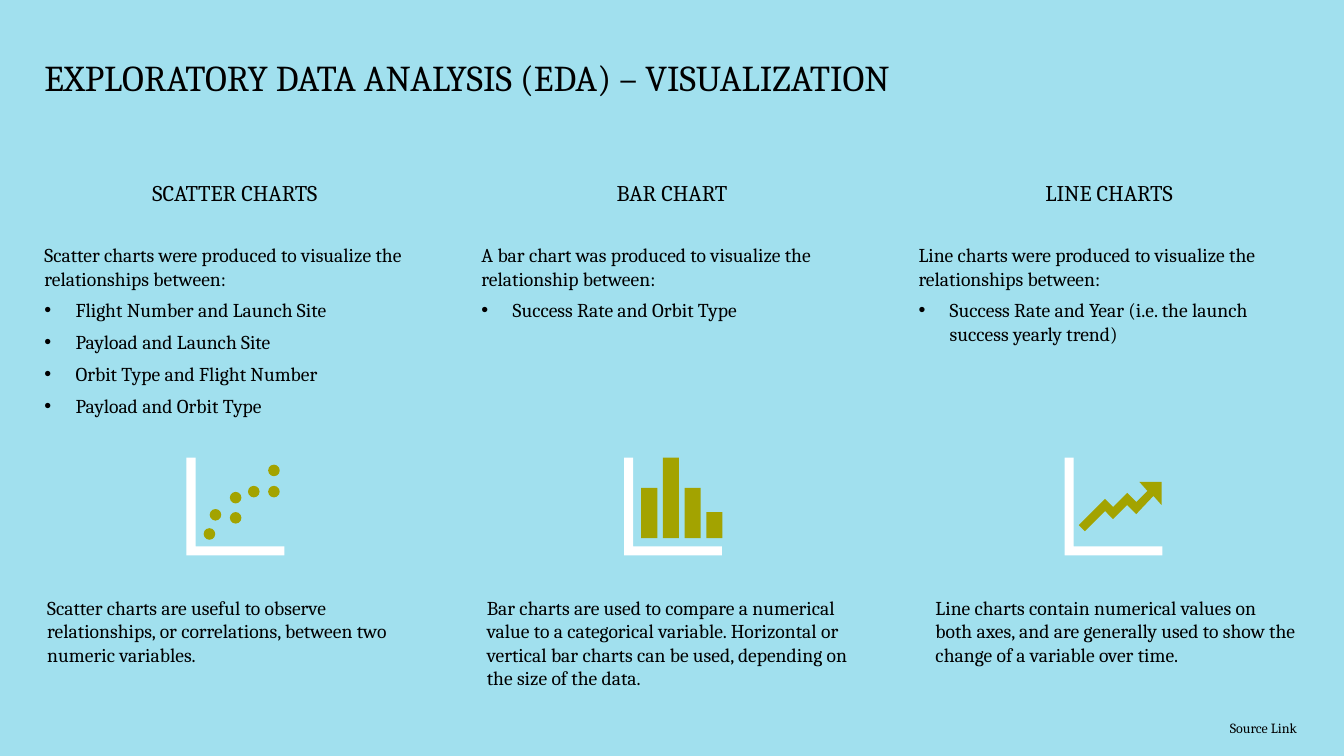
from lxml.etree import SubElement
from pptx import Presentation
from pptx.dml.color import RGBColor
from pptx.enum.shapes import MSO_SHAPE
from pptx.enum.text import MSO_ANCHOR, PP_ALIGN
from pptx.oxml.ns import qn
from pptx.util import Inches, Pt

COLORS = {"sky": "A1E0EE", "ink": "000000", "axis": "FFFFFF", "data": "A3A300"}
INDENT = 0.31

deck = Presentation()
deck.slide_width, deck.slide_height = Inches(13.33), Inches(7.5)
slide = deck.slides.add_slide(deck.slide_layouts[6])
slide.background.fill.solid()
slide.background.fill.fore_color.rgb = RGBColor.from_string(COLORS["sky"])


def write(text, left, top, width, height, size=14, align=PP_ALIGN.LEFT, anchor=MSO_ANCHOR.TOP,
          inset=(0, 0), after=0, spacing=None, bullets=(), wrap=True):
    """Add a text box with one opening paragraph followed by bulleted ones."""
    frame = slide.shapes.add_textbox(Inches(left), Inches(top), Inches(width), Inches(height)).text_frame
    frame.word_wrap = wrap
    frame.vertical_anchor = anchor
    frame.margin_left = frame.margin_right = Inches(inset[0])
    frame.margin_top = frame.margin_bottom = Inches(inset[1])
    for index, line in enumerate([text, *bullets]):
        paragraph = frame.add_paragraph() if index else frame.paragraphs[0]
        paragraph.alignment = align
        paragraph.space_after = Pt(after)
        if spacing:
            paragraph.line_spacing = spacing
        if index:
            props = paragraph._p.get_or_add_pPr()
            props.set("marL", str(Inches(INDENT)))
            props.set("indent", str(-Inches(INDENT)))
            SubElement(props, qn("a:buFont"), typeface="Arial")
            SubElement(props, qn("a:buChar"), char="•")
        run = paragraph.add_run()
        run.text = line
        run.font.name, run.font.size = "Cambria", Pt(size)
        run.font.color.rgb = RGBColor.from_string(COLORS["ink"])


def paint(shape, color):
    shape.shadow.inherit = False
    shape.fill.solid()
    shape.fill.fore_color.rgb = RGBColor.from_string(COLORS[color])
    shape.line.fill.background()


write("EXPLORATORY DATA ANALYSIS (EDA) – VISUALIZATION", 0.44, 0.21, 11.97, 0.78,
      size=26, anchor=MSO_ANCHOR.BOTTOM, spacing=0.9)
write("Source Link", 12.1, 7.09, 0.98, 0.27, size=10, inset=(0.1, 0.05), wrap=False)

# Heading, introduction, bullets, usage note and its left edge
columns = [
    ("SCATTER CHARTS", "Scatter charts were produced to visualize the relationships between:",
     ["Flight Number and Launch Site", "Payload and Launch Site",
      "Orbit Type and Flight Number", "Payload and Orbit Type"],
     "Scatter charts are useful to observe relationships, or correlations, "
     "between two numeric variables.", 0.37),
    ("BAR CHART", "A bar chart was produced to visualize the relationship between:",
     ["Success Rate and Orbit Type"],
     "Bar charts are used to compare a numerical value to a categorical variable. "
     "Horizontal or vertical bar charts can be used, depending on the size of the data.", 4.73),
    ("LINE CHARTS", "Line charts were produced to visualize the relationships between:",
     ["Success Rate and Year (i.e. the launch success yearly trend)"],
     "Line charts contain numerical values on both axes, and are generally used "
     "to show the change of a variable over time.", 9.18),
]
for number, (heading, intro, bullets, usage, usage_left) in enumerate(columns):
    left = 0.44 + number * 4.335
    write(heading, left, 1.45, 3.78, 0.92, size=16, align=PP_ALIGN.CENTER,
          anchor=MSO_ANCHOR.MIDDLE, after=6)
    write(intro, left, 2.41, 3.78, 4.46, after=6, bullets=bullets)
    write(usage, usage_left, 5.86, 3.78, 1.04, inset=(0.1, 0.05))

# Chart icons: axes and trend arrow as outlines
outlines = [("axis", [(x, 4.54), (x, 5.51), (x + 0.97, 5.51), (x + 0.97, 5.42),
                      (x + 0.09, 5.42), (x + 0.09, 4.54)]) for x in (1.85, 6.19, 10.56)]
trend = [(11.3, 4.78), (11.38, 4.87), (11.27, 4.98), (11.18, 4.89), (11.04, 5.03),
         (10.96, 4.95), (10.7, 5.21), (10.76, 5.27), (10.96, 5.07), (11.04, 5.15),
         (11.18, 5.01), (11.27, 5.1), (11.44, 4.92), (11.52, 5.01), (11.52, 4.78)]
outlines.append(("data", trend))
for color, points in outlines:
    start, *rest = [(Inches(x), Inches(y)) for x, y in points]
    builder = slide.shapes.build_freeform(*start)
    builder.add_line_segments(rest, close=True)
    paint(builder.convert_to_shape(), color)

DOT = 0.115
for x, y in [(2.02, 5.24), (2.08, 5.05), (2.28, 5.08), (2.28, 4.88),
             (2.46, 4.82), (2.66, 4.82), (2.66, 4.61)]:
    paint(slide.shapes.add_shape(MSO_SHAPE.OVAL, Inches(x), Inches(y), Inches(DOT), Inches(DOT)), "data")

for number, height in enumerate([0.5, 0.8, 0.5, 0.26]):
    paint(slide.shapes.add_shape(MSO_SHAPE.RECTANGLE, Inches(6.36 + number * 0.215),
                                 Inches(5.34 - height), Inches(0.16), Inches(height)), "data")

deck.save("out.pptx")
